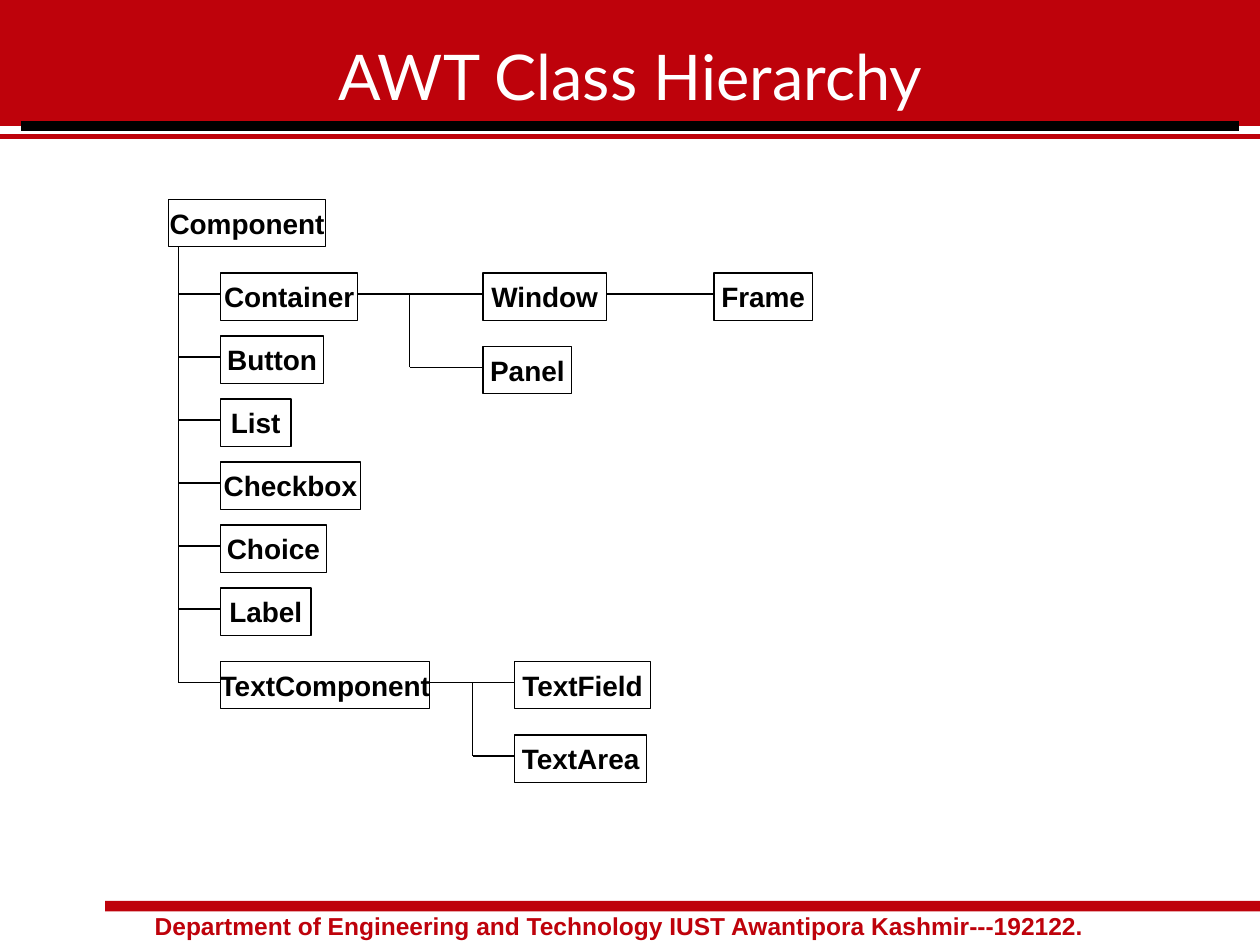
from dataclasses import dataclass

from lxml.etree import SubElement
from pptx import Presentation
from pptx.dml.color import RGBColor
from pptx.enum.shapes import MSO_CONNECTOR as Connector, MSO_SHAPE as Shape
from pptx.enum.text import MSO_ANCHOR as Anchor, PP_ALIGN as Align
from pptx.oxml.ns import qn
from pptx.util import Pt


@dataclass(frozen=True)
class Theme:
    red: RGBColor = RGBColor(0xBE, 0x02, 0x0B)
    black: RGBColor = RGBColor(0, 0, 0)
    white: RGBColor = RGBColor(255, 255, 255)
    title_font: str = "Lato"
    body_font: str = "Arial"
    title_size: float = 36
    node_size: float = 16
    footer_size: float = 14
    thin: float = 0.75


@dataclass(frozen=True)
class Node:
    name: str
    left: float
    top: float
    width: float
    height: float = 27

    @property
    def right(self) -> float:
        return self.left + self.width

    @property
    def link_y(self) -> float:
        return self.top + 12


THEME = Theme()


def add_line(page, x1: float, y1: float, x2: float, y2: float,
             color: RGBColor = THEME.black, weight: float = THEME.thin) -> None:
    line = page.shapes.add_connector(Connector.STRAIGHT, Pt(x1), Pt(y1), Pt(x2), Pt(y2))
    line.line.color.rgb = color
    line.line.width = Pt(weight)
    SubElement(line.element.spPr, qn("a:effectLst"))


def add_rect(page, left: float, top: float, width: float, height: float, fill: RGBColor):
    box = page.shapes.add_shape(Shape.RECTANGLE, Pt(left), Pt(top), Pt(width), Pt(height))
    box.shadow.inherit = False
    box.fill.solid()
    box.fill.fore_color.rgb = fill
    box.line.fill.background()
    return box


def write(box, text: str, font: str, size: float, color: RGBColor, bold: bool,
          align: Align = Align.CENTER, anchor: Anchor = Anchor.MIDDLE,
          margins: tuple[float, float, float, float] = (0, 0, 0, 0),
          wrap: bool = True) -> None:
    frame = box.text_frame
    frame.word_wrap = wrap
    frame.vertical_anchor = anchor
    (frame.margin_left, frame.margin_top,
     frame.margin_right, frame.margin_bottom) = map(Pt, margins)
    para = frame.paragraphs[0]
    para.alignment = align
    span = para.add_run()
    span.text = text
    span.font.name = font
    span.font.size = Pt(size)
    span.font.bold = bold
    span.font.color.rgb = color


def add_node(page, node: Node) -> None:
    box = add_rect(page, node.left, node.top, node.width, node.height, THEME.white)
    box.line.color.rgb = THEME.black
    box.line.width = Pt(THEME.thin)
    write(box, node.name, THEME.body_font, THEME.node_size, THEME.black, True, wrap=False)


def link_children(page, parent: Node, first: Node, second: Node, fork_x: float) -> None:
    """Join a parent to the child beside it and to the one below that."""
    add_line(page, parent.right, parent.link_y, first.left, first.link_y)
    add_line(page, fork_x, parent.link_y, fork_x, second.link_y)
    add_line(page, fork_x, second.link_y, second.left, second.link_y)


def add_frame(page) -> None:
    # Footer
    footer = page.shapes.add_textbox(Pt(54), Pt(517), Pt(654), Pt(24.5))
    write(footer, "Department of Engineering and Technology IUST Awantipora Kashmir---192122.",
          THEME.body_font, THEME.footer_size, THEME.red, True,
          Align.LEFT, Anchor.TOP, (34.4, 3.6, 7.2, 3.6))
    add_rect(page, 60, 514.8, 660, 6, THEME.red)

    # Title band and its rules
    add_line(page, 0, 78, 720, 78, THEME.red, 3)
    title = add_rect(page, 0, 0, 720, 72, THEME.red)
    write(title, "AWT Class Hierarchy", THEME.title_font, THEME.title_size,
          THEME.white, False, margins=(7.2, 18, 7.2, 3.6))
    add_line(page, 12, 72, 708, 72, THEME.black, 6)


def add_hierarchy(page) -> None:
    # Classes
    component = Node("Component", 96.2, 114, 90)
    child_left, row_top, row_step, trunk_x = 126, 156, 36, 102
    widths = {"Container": 78.5, "Button": 59, "List": 40.3,
              "Checkbox": 80, "Choice": 60.5, "Label": 51.8}
    children = [Node(name, child_left, row_top + row * row_step, width)
                for row, (name, width) in enumerate(widths.items())]
    container = children[0]
    text_component = Node("TextComponent", child_left, 378, 119.5)
    children.append(text_component)

    window = Node("Window", 276, container.top, 70.5)
    panel = Node("Panel", 276, container.top + 42, 50.7)
    frame = Node("Frame", 408, container.top, 56.2)
    text_field = Node("TextField", 294, text_component.top, 77.8)
    text_area = Node("TextArea", 294, text_component.top + 42, 75.6)

    # Links
    add_line(page, trunk_x, component.top + component.height, trunk_x, text_component.link_y)
    for child in children:
        add_line(page, trunk_x, child.link_y, child.left, child.link_y)
    link_children(page, container, window, panel, 234)
    add_line(page, window.right, window.link_y, frame.left, frame.link_y)
    link_children(page, text_component, text_field, text_area, 270)

    # Boxes
    for node in [component, *children, window, panel, frame, text_field, text_area]:
        add_node(page, node)


def main() -> None:
    deck = Presentation()
    deck.slide_width, deck.slide_height = Pt(720), Pt(540)
    page = deck.slides.add_slide(deck.slide_layouts[6])
    add_frame(page)
    add_hierarchy(page)
    deck.save("out.pptx")


if __name__ == "__main__":
    main()
